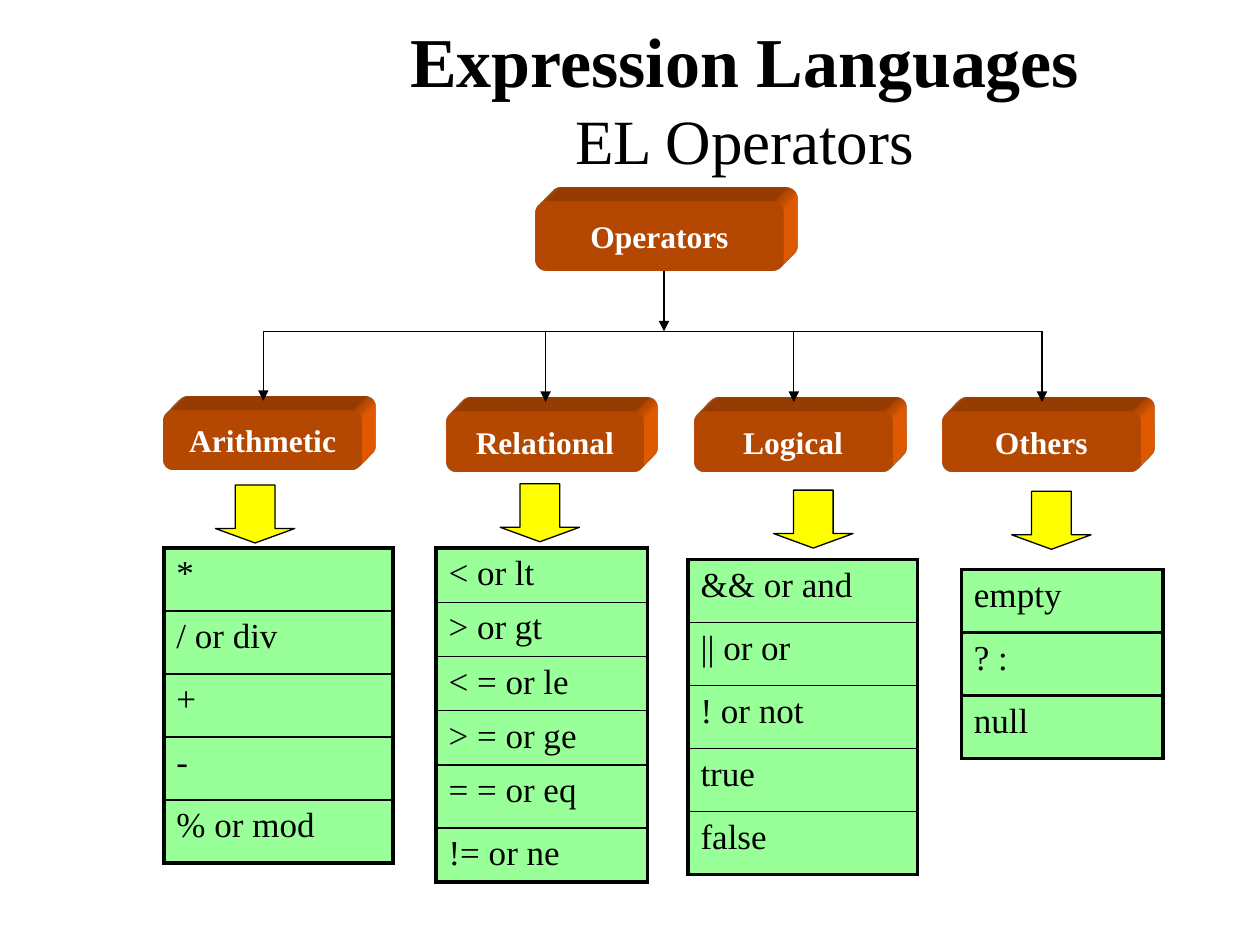
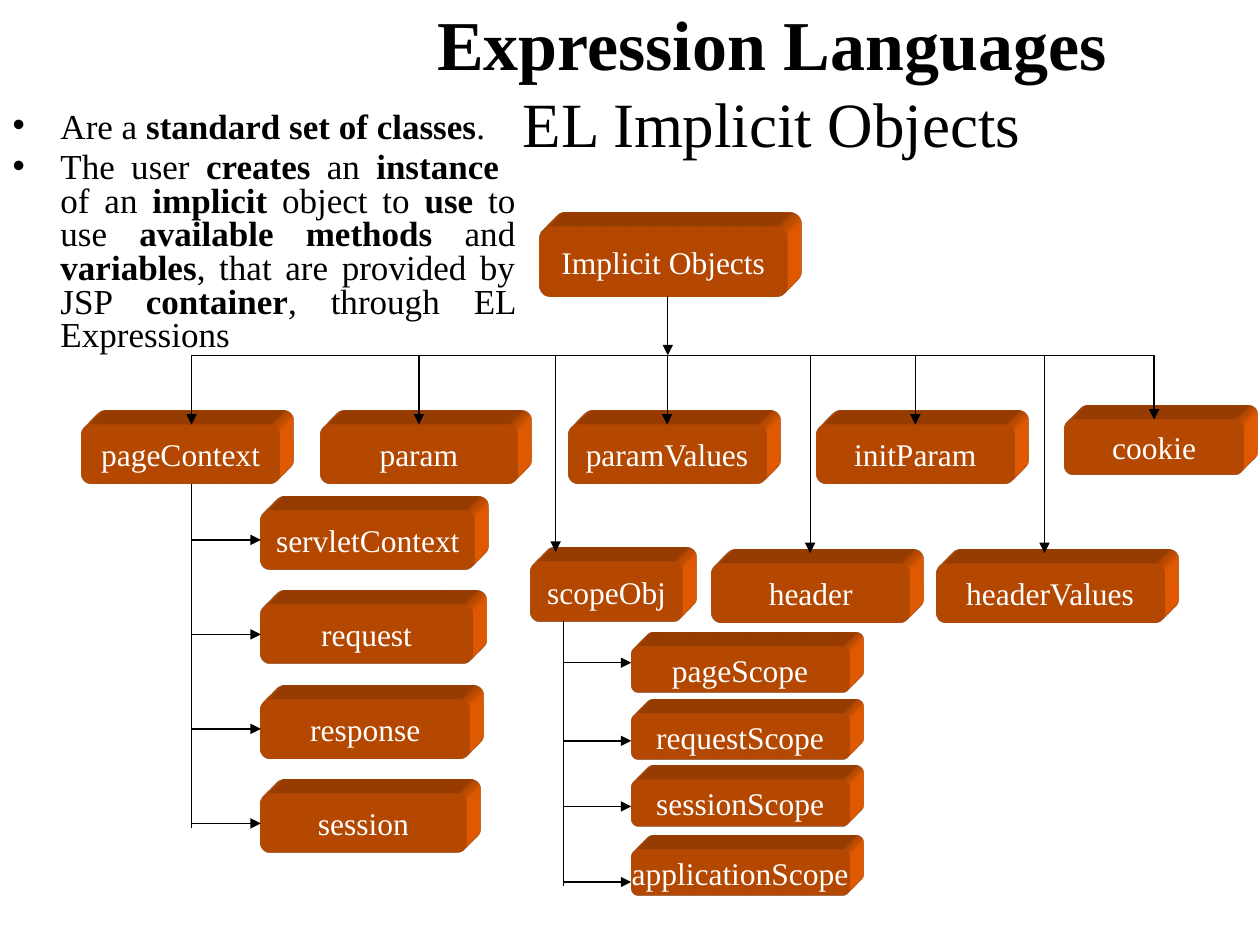
from dataclasses import dataclass

from lxml import etree
from pptx import Presentation
from pptx.dml.color import RGBColor
from pptx.enum.shapes import MSO_CONNECTOR, MSO_SHAPE
from pptx.enum.text import MSO_ANCHOR, MSO_AUTO_SIZE, PP_ALIGN
from pptx.oxml import parse_xml
from pptx.oxml.ns import nsdecls, qn
from pptx.util import Inches, Pt

STRAIGHT = MSO_CONNECTOR.STRAIGHT
ROUND_RECT, DOWN_ARROW = MSO_SHAPE.ROUNDED_RECTANGLE, MSO_SHAPE.DOWN_ARROW
MIDDLE = MSO_ANCHOR.MIDDLE
NO_FIT = MSO_AUTO_SIZE.NONE
CENTER, JUSTIFY = PP_ALIGN.CENTER, PP_ALIGN.JUSTIFY
TITLE_AND_BODY, TITLE_ONLY = 1, 5
TOP, LEFT = 0, 1


@dataclass(frozen=True)
class Theme:
    font: str = "Times New Roman"
    ink: str = "000000"
    white: str = "FFFFFF"
    box: str = "FF6600"
    arrow: str = "FFFF00"
    cell: str = "99FF99"
    title: int = 40
    subtitle: int = 36
    body: int = 20
    label: int = 18
    thin: float = 0.75
    inner: float = 1
    outer: float = 2.25


T = Theme()


def rgb(value):
    return RGBColor.from_string(value)


def set_font(font, size, color=T.ink, bold=None):
    font.name, font.size, font.bold = T.font, Pt(size), bold
    font.color.rgb = rgb(color)


def place(sp, box):
    sp.left, sp.top, sp.width, sp.height = map(Inches, box)


def add_title(slide, box, subtitle):
    sp = slide.shapes.title
    place(sp, box)
    tf = sp.text_frame
    tf.auto_size, tf.vertical_anchor = NO_FIT, MIDDLE
    p = tf.paragraphs[0]
    p.alignment = CENTER
    for text, size, bold in (("Expression Languages", T.title, True),
                             (subtitle, T.subtitle, False)):
        if p.runs:
            p.add_line_break()
        r = p.add_run()
        r.text = text
        set_font(r.font, size, bold=bold)


def extrude(sp):
    """Give a shape an oblique depth towards the top right."""
    sp_pr = sp._element.spPr
    sp_pr.append(parse_xml(
        f'<a:scene3d {nsdecls("a")}><a:camera prst="legacyObliqueTopRight"/>'
        '<a:lightRig rig="legacyFlat3" dir="b"/></a:scene3d>'))
    sp_pr.append(parse_xml(
        f'<a:sp3d {nsdecls("a")} extrusionH="287338" prstMaterial="legacyMatte">'
        '<a:bevelT w="13500" h="13500" prst="angle"/>'
        '<a:bevelB w="13500" h="13500" prst="angle"/>'
        f'<a:extrusionClr><a:srgbClr val="{T.box}"/></a:extrusionClr></a:sp3d>'))


def add_box(slide, text, box, bold=False):
    sp = slide.shapes.add_shape(ROUND_RECT, *map(Inches, box))
    sp.shadow.inherit = False
    sp.fill.solid()
    sp.fill.fore_color.rgb = rgb(T.box)
    sp.line.fill.background()
    extrude(sp)
    tf = sp.text_frame
    tf.word_wrap, tf.vertical_anchor = False, MIDDLE
    p = tf.paragraphs[0]
    p.text, p.alignment = text, CENTER
    set_font(p.font, T.label, T.white, bold)
    return sp


def add_line(slide, start, end, arrow=True, target=None, side=TOP):
    line = slide.shapes.add_connector(STRAIGHT, *map(Inches, (*start, *end)))
    line.line.color.rgb = rgb(T.ink)
    line.line.width = Pt(T.thin)
    if arrow:
        etree.SubElement(line.line._get_or_add_ln(), qn("a:tailEnd"), type="triangle")
    etree.SubElement(line._element.spPr, qn("a:effectLst"))
    if target is not None:
        line.end_connect(target, side)


def add_down_arrow(slide, left, top):
    sp = slide.shapes.add_shape(DOWN_ARROW, *map(Inches, (left, top, 0.63, 0.46)))
    sp.shadow.inherit = False
    sp.adjustments[1] = 0.25
    sp.fill.solid()
    sp.fill.fore_color.rgb = rgb(T.arrow)
    sp.line.color.rgb = rgb(T.ink)
    sp.line.width = Pt(T.thin)


def set_borders(cell, top, bottom):
    widths = {"L": T.outer, "R": T.outer, "T": top, "B": bottom}
    for i, (edge, width) in enumerate(widths.items()):
        cell._tc.get_or_add_tcPr().insert(i, parse_xml(
            f'<a:ln{edge} {nsdecls("a")} w="{Pt(width)}"><a:solidFill>'
            f'<a:srgbClr val="{T.ink}"/></a:solidFill></a:ln{edge}>'))


def add_operator_table(slide, left, top, width, heights, operators, inner=T.inner):
    table = slide.shapes.add_table(
        len(operators), 1, *map(Inches, (left, top, width, sum(heights)))).table
    last = len(operators) - 1
    for i, (operator, height) in enumerate(zip(operators, heights)):
        table.rows[i].height = Inches(height)
        cell = table.cell(i, 0)
        cell.fill.solid()
        cell.fill.fore_color.rgb = rgb(T.cell)
        set_borders(cell, inner if i else T.outer, inner if i < last else T.outer)
        p = cell.text_frame.paragraphs[0]
        p.text = operator
        set_font(p.font, T.body, bold=False)


def add_bullets(slide, box, bullets):
    """Write bullets in which asterisks enclose the bold words."""
    sp = slide.placeholders[1]
    place(sp, box)
    tf = sp.text_frame
    tf.auto_size = NO_FIT
    for i, bullet in enumerate(bullets):
        p = tf.add_paragraph() if i else tf.paragraphs[0]
        p.alignment, p.line_spacing, p.space_before = JUSTIFY, 0.8, Pt(4)
        p_pr = p._p.get_or_add_pPr()
        p_pr.set("marL", str(Inches(0.38)))
        p_pr.set("indent", str(-Inches(0.38)))
        etree.SubElement(p_pr, qn("a:buChar"), char="•")
        set_font(p.font, T.body)
        for j, part in enumerate(bullet.split("*")):
            for k, text in enumerate(part.split("\n")):
                if k:
                    p.add_line_break()
                if text:
                    r = p.add_run()
                    r.text = text
                    r.font.bold = j % 2 == 1


def add_branch(slide, trunk_x, top, bottom, boxes):
    """Hang boxes, given as (text, box, arrow y or None for its middle), on a trunk."""
    add_line(slide, (trunk_x, top), (trunk_x, bottom), arrow=False)
    for text, box, arrow_y in boxes:
        sp = add_box(slide, text, box)
        y = arrow_y or box[1] + box[3] / 2
        add_line(slide, (trunk_x, y), (box[0], y),
                 target=None if arrow_y else sp, side=LEFT)


def operators_slide(prs):
    slide = prs.slides.add_slide(prs.slide_layouts[TITLE_ONLY])
    add_title(slide, (1.82, 0, 8.18, 1.55), "EL Operators")
    add_box(slide, "Operators", (4.25, 1.6, 1.97, 0.55), bold=True)
    bus_y = 2.63
    add_line(slide, (5.27, 2.15), (5.27, bus_y))
    add_line(slide, (2.09, bus_y), (8.26, bus_y), arrow=False)

    # name, box left and top, arrow left and top, table left, top and width,
    # row heights, operators
    groups = (
        ("Arithmetic", (1.3, 3.26), (1.71, 3.85), (1.3, 4.35, 1.82), [0.5] * 5,
         ("*", "/ or div", "+", "-", "% or mod")),
        ("Relational", (3.54, 3.27), (3.97, 3.84), (3.46, 4.35, 1.68),
         [0.43] * 4 + [0.5, 0.43],
         ("< or lt", "> or gt", "< = or le", "> = or ge", "= = or eq", "!= or ne")),
        ("Logical", (5.51, 3.27), (6.14, 3.89), (5.46, 4.44, 1.82), [0.5] * 5,
         ("&& or and", "|| or or", "! or not", "true", "false")),
        ("Others", (7.48, 3.27), (8.03, 3.9), (7.63, 4.52, 1.6), [0.5] * 3,
         ("empty", "? :", "null")),
    )
    for name, (left, top), arrow, table, heights, operators in groups:
        add_box(slide, name, (left, top, 1.57, 0.47), bold=True)
        x = left + 0.79
        add_line(slide, (x, bus_y), (x, top - 0.08))
        add_down_arrow(slide, *arrow)
        add_operator_table(slide, *table, heights, operators,
                           T.outer if name == "Others" else T.inner)


def implicit_objects_slide(prs):
    slide = prs.slides.add_slide(prs.slide_layouts[TITLE_AND_BODY])
    add_title(slide, (2.25, 0, 7.75, 1.28), "EL Implicit Objects")
    add_bullets(slide, (0, 0.84, 4.19, 2.12), (
        "Are a *standard set of classes*. ",
        "The user *creates* an *instance \n*of an *implicit* object to *use* to use "
        "*available methods* and *variables*, that are provided by JSP *container*, "
        "through EL Expressions "))
    add_box(slide, "Implicit Objects", (4.28, 1.8, 1.97, 0.55))
    bus_y = 2.82
    add_line(slide, (5.3, 2.35), (5.3, bus_y))
    add_line(slide, (1.52, bus_y), (9.16, bus_y), arrow=False)

    for text, box in (("param", (2.54, 3.37, 1.57, 0.47)),
                      ("paramValues", (4.51, 3.37, 1.57, 0.47)),
                      ("initParam", (6.48, 3.37, 1.57, 0.47)),
                      ("cookie", (8.45, 3.33, 1.42, 0.44))):
        sp = add_box(slide, text, box)
        x = box[0] + box[2] / 2
        add_line(slide, (x, bus_y), (x, box[1]), target=sp)

    for text, box, x, end_y in (("pageContext", (0.65, 3.37, 1.57, 0.47), 1.52, 3.37),
                                ("scopeObj", (4.21, 4.46, 1.21, 0.47), 4.41, 4.38),
                                ("header", (5.65, 4.47, 1.57, 0.47), 6.43, 4.39),
                                ("headerValues", (7.43, 4.47, 1.81, 0.47), 8.29, 4.39)):
        add_box(slide, text, box)
        add_line(slide, (x, bus_y), (x, end_y))

    contexts = (("servletContext", 1.7), ("request", 1.68),
                ("response", 1.66), ("session", 1.63))
    add_branch(slide, 1.52, 3.84, 6.57, [
        (text, (2.07, 4.05 + 0.75 * i, width, 0.47), None)
        for i, (text, width) in enumerate(contexts)])
    scopes = (("pageScope", 5.13, 5.26), ("requestScope", 5.66, 5.88),
              ("sessionScope", 6.19, 6.4), ("applicationScope", 6.74, 7))
    add_branch(slide, 4.47, 4.93, 7.03, [
        (text, (5.01, top, 1.73, 0.37), arrow_y) for text, top, arrow_y in scopes])


def main():
    prs = Presentation()
    prs.slide_width, prs.slide_height = Inches(10), Inches(7.5)
    operators_slide(prs)
    implicit_objects_slide(prs)
    prs.save("out.pptx")


if __name__ == "__main__":
    main()
